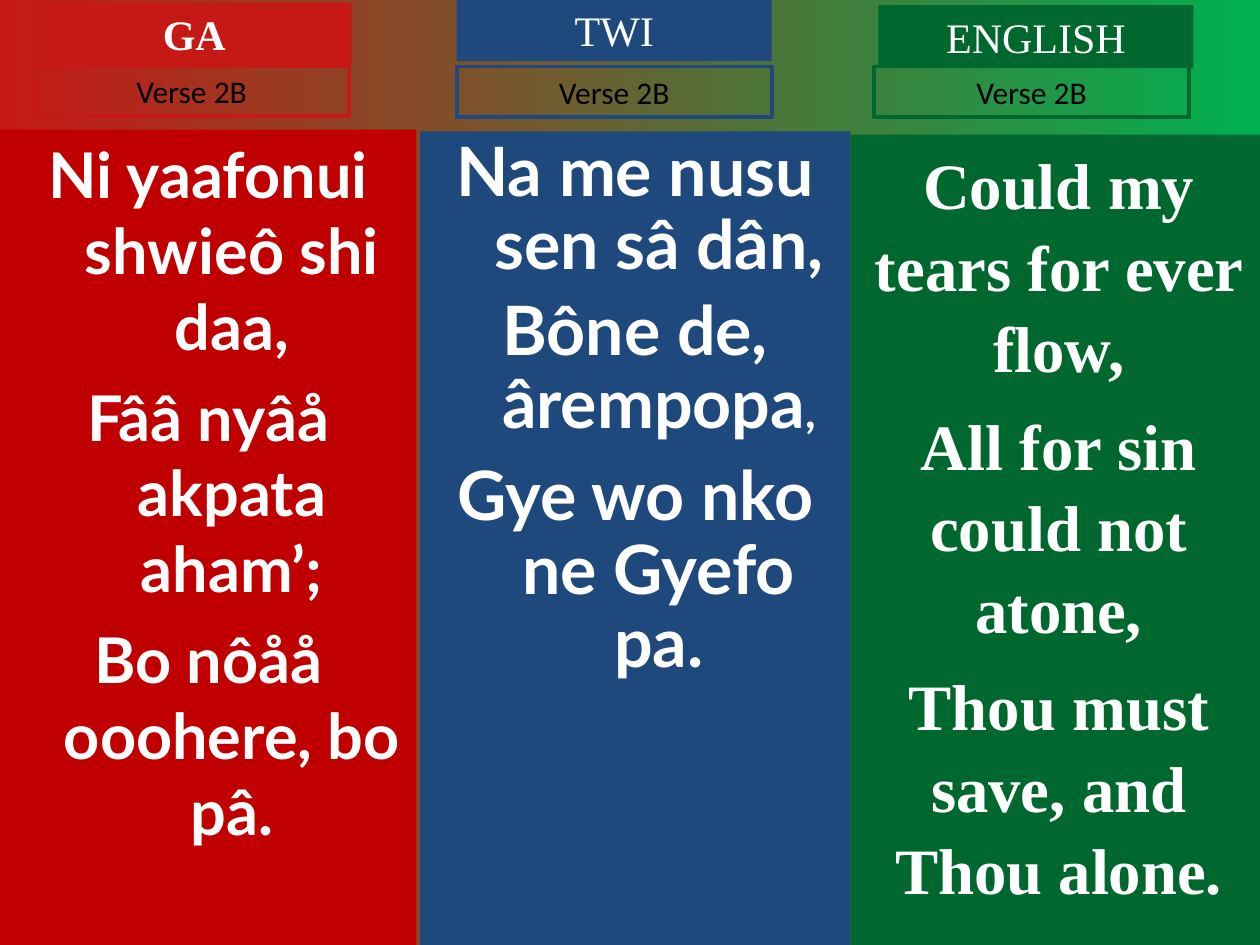
from lxml.etree import SubElement
from pptx import Presentation
from pptx.dml.color import RGBColor
from pptx.enum.shapes import MSO_SHAPE
from pptx.enum.text import MSO_ANCHOR, MSO_AUTO_SIZE, PP_ALIGN
from pptx.oxml.ns import qn
from pptx.util import Pt

COLORS = {
    "red": "C51915", "deep_red": "C00000", "blue": "1F497D",
    "green": "00682F", "bright_green": "00B050",
    "white": "FFFFFF", "black": "000000",
}
SERIF, SANS, LABEL = "Times New Roman", "Lato", "Calibri"
TAG_WIDTH, HEADING_HEIGHT, TAG_HEIGHT = 180, 36, 29
HANGING = 27


def rgb(name):
    return RGBColor.from_string(COLORS[name])


class HymnSlide:
    def __init__(self, slide):
        self.slide = slide

    def background(self, left_color, right_color):
        fill = self.slide.background.fill
        fill.gradient()
        fill.gradient_angle = 0
        for stop, color, position in zip(
                fill.gradient_stops, (left_color, right_color), (0, 1)):
            stop.color.rgb = rgb(color)
            stop.position = position

    def box(self, frame, fill=None, outline=None, holder=None):
        """Place a rectangle, or move a placeholder, and reset its look."""
        left, top, width, height = map(Pt, frame)
        shape = holder or self.slide.shapes.add_shape(
            MSO_SHAPE.RECTANGLE, left, top, width, height)
        place = {"left": left, "top": top, "width": width, "height": height}
        for key, value in place.items():
            setattr(shape, key, value)
        shape.shadow.inherit = False
        if fill:
            shape.fill.solid()
            shape.fill.fore_color.rgb = rgb(fill)
        else:
            shape.fill.background()
        if outline:
            shape.line.color.rgb = rgb(outline)
            shape.line.width = Pt(2.25)
        else:
            shape.line.fill.background()
        settings = {"word_wrap": True, "auto_size": MSO_AUTO_SIZE.NONE,
                    "vertical_anchor": MSO_ANCHOR.TOP}
        for key, value in settings.items():
            setattr(shape.text_frame, key, value)
        return shape.text_frame

    def add_text(self, paragraph, text, color="white", **font):
        run = paragraph.add_run()
        run.text = text
        run.font.color.rgb = rgb(color)
        for key, value in font.items():
            setattr(run.font, key, value)

    def heading(self, language, left, top, color, bold=False, holder=None):
        frame = self.box((left, top, TAG_WIDTH, HEADING_HEIGHT), color, holder=holder)
        paragraph = frame.paragraphs[0]
        paragraph.alignment = PP_ALIGN.CENTER
        self.add_text(paragraph, language, name=SERIF, size=Pt(24), bold=bold)

    def verse_tag(self, label, left, top, color):
        frame = self.box((left, top, TAG_WIDTH, TAG_HEIGHT), outline=color)
        paragraph = frame.paragraphs[0]
        paragraph.alignment = PP_ALIGN.CENTER
        self.add_text(paragraph, label, "black", name=LABEL, size=Pt(18))

    def verse(self, lines, frame, color, font, size, gaps, spacing, holder=None):
        """Fill a column; a line is a list of (text, size or None) parts."""
        text_frame = self.box(frame, color, holder=holder)
        for index, (parts, gap) in enumerate(zip(lines, gaps)):
            paragraph = text_frame.paragraphs[0] if index == 0 else text_frame.add_paragraph()
            layout = {"alignment": PP_ALIGN.CENTER, "line_spacing": spacing,
                      "space_before": Pt(gap)}
            for key, value in layout.items():
                setattr(paragraph, key, value)
            if holder:
                properties = paragraph._p.get_or_add_pPr()
                properties.set("marL", str(Pt(HANGING)))
                properties.set("indent", str(-Pt(HANGING)))
                SubElement(properties, qn("a:buNone"))
            for text, own_size in parts:
                self.add_text(paragraph, text, name=font, size=Pt(own_size or size), bold=True)


def main():
    deck = Presentation()
    deck.slide_width, deck.slide_height = Pt(720), Pt(540)
    slide = deck.slides.add_slide(deck.slide_layouts[3])
    title, ga_body, twi_body = slide.placeholders
    hymn = HymnSlide(slide)
    hymn.background("red", "bright_green")

    hymn.verse(
        [[("Ni yaafonui shwieô shi daa,", None)],
         [("Fââ nyâå akpata aham’;", None)],
         [("Bo nôåå ooohere, bo pâ.", None)]],
        (0, 74, 238, 466), "deep_red", SANS, 36, (0, 9, 9), 1.0, ga_body)
    hymn.verse(
        [[("Na me nusu sen sâ dân,", None)],
         [("Bône de, ârempopa", None), (",", 25.9)],
         [("Gye wo nko ne Gyefo pa.", None)]],
        (240, 75, 246, 465), "blue", SANS, 38.9, (0, 7, 10.5), 0.9, twi_body)
    hymn.verse(
        [[("Could my tears for ever flow,", None)],
         [("All for sin could not atone,", None)],
         [("Thou must save, and Thou alone.", None)]],
        (486, 77, 238, 467), "green", SERIF, 37, (0, 9.2, 9.2), 1.05)

    hymn.heading("GA", 21, 1.5, "red", bold=True, holder=title)
    hymn.heading("TWI", 261, -1, "blue")
    hymn.heading("ENGLISH", 502, 3, "green")

    for left, top, color in ((19.5, 37.5, "red"), (261, 38, "blue"), (499.5, 38, "green")):
        hymn.verse_tag("Verse 2B", left, top, color)

    deck.save("out.pptx")


if __name__ == "__main__":
    main()
